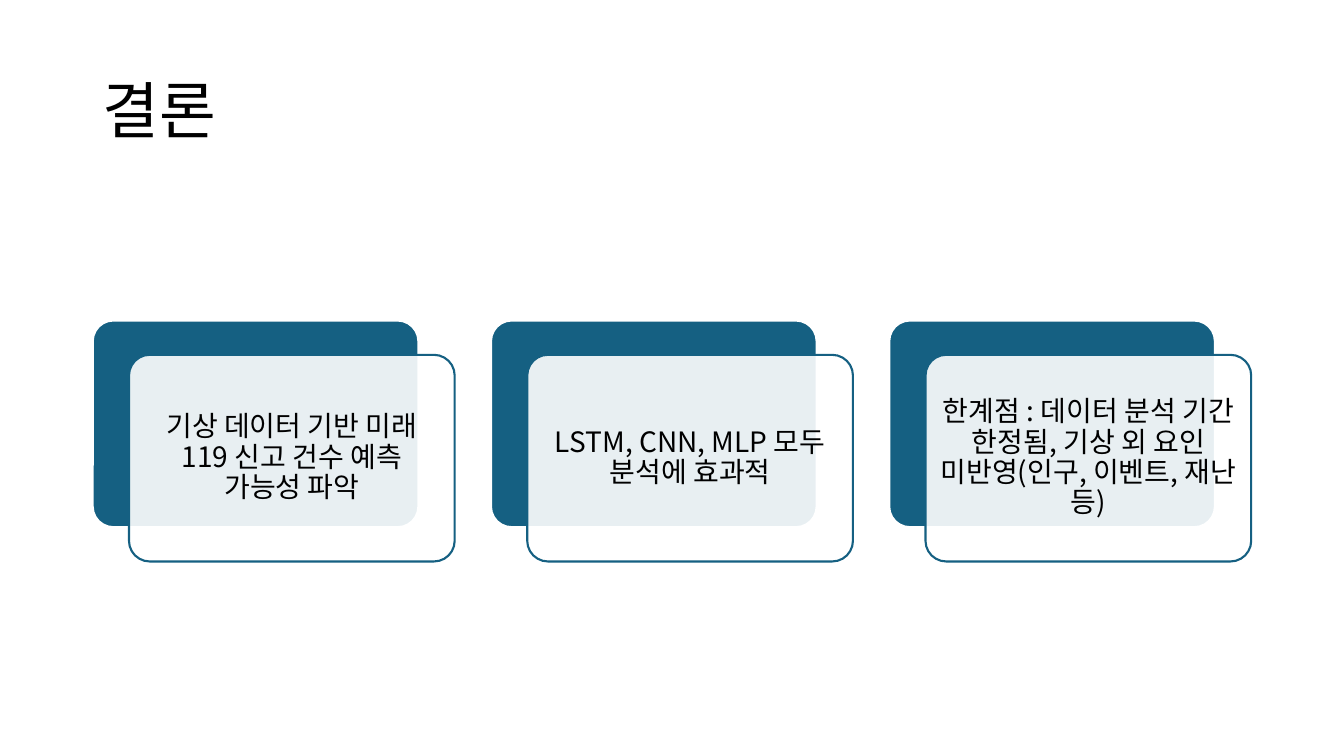
from dataclasses import dataclass

from lxml import etree
from pptx import Presentation
from pptx import util as u
from pptx.dml.color import RGBColor
from pptx.enum import shapes, text
from pptx.oxml.ns import qn


@dataclass(frozen=True)
class Theme:
    """Colours, font and type sizes of the slide."""
    teal: RGBColor = RGBColor(0x15, 0x60, 0x82)
    white: RGBColor = RGBColor(0xFF, 0xFF, 0xFF)
    black: RGBColor = RGBColor(0, 0, 0)
    font: str = "Noto Sans CJK KR"
    title_size: int = 44
    body_size: int = 20
    outline: float = 1.5


THEME = Theme()
CONCLUSIONS = (
    "기상 데이터 기반 미래 119 신고 건수 예측 가능성 파악",
    "LSTM, CNN, MLP 모두 분석에 효과적",
    "한계점 : 데이터 분석 기간 한정됨, 기상 외 요인 미반영(인구, 이벤트, 재난 등)",
)
CARD_LEFT, CARD_TOP, CARD_PITCH = 0.92, 3.18, 3.95
CARD_WIDTH, CARD_HEIGHT = 3.23, 2.05
FRONT_DX, FRONT_DY = 0.36, 0.34
TEXT_INSET = 0.06


def add_label(slide, wording, box, size, align, margins):
    """Add a wrapped, vertically centred text box and return its paragraph."""
    label = slide.shapes.add_textbox(*map(u.Inches, box))
    frame = label.text_frame
    frame.text = wording
    frame.word_wrap = True
    frame.vertical_anchor = text.MSO_ANCHOR.MIDDLE
    frame.margin_left = frame.margin_right = u.Inches(margins[0])
    frame.margin_top = frame.margin_bottom = u.Inches(margins[1])
    paragraph = frame.paragraphs[0]
    paragraph.alignment = align
    paragraph.line_spacing = 0.9
    for run in paragraph.runs:
        run.font.size = u.Pt(size)
        run.font.name = THEME.font
        run.font.color.rgb = THEME.black
        east_asian = etree.SubElement(run.font._element, qn("a:ea"))
        east_asian.set("typeface", THEME.font)
    return paragraph


def add_panel(slide, left, top, fill, line, opacity=100):
    """Add one rounded panel of a card."""
    panel = slide.shapes.add_shape(
        shapes.MSO_SHAPE.ROUNDED_RECTANGLE,
        *map(u.Inches, (left, top, CARD_WIDTH, CARD_HEIGHT)))
    panel.adjustments[0] = 0.1
    panel.shadow.inherit = False
    panel.fill.solid()
    panel.fill.fore_color.rgb = fill
    panel.line.color.rgb = line
    panel.line.width = u.Pt(THEME.outline)
    if opacity < 100:
        colour = panel._element.spPr.find(qn("a:solidFill")).find(qn("a:srgbClr"))
        etree.SubElement(colour, qn("a:alpha")).set("val", str(opacity * 1000))


def add_card(slide, left, conclusion):
    """Add a teal panel, the translucent panel over it and its wording."""
    front_left, front_top = left + FRONT_DX, CARD_TOP + FRONT_DY
    add_panel(slide, left, CARD_TOP, THEME.teal, THEME.white)
    add_panel(slide, front_left, front_top, THEME.white, THEME.teal, opacity=90)
    box = (front_left + TEXT_INSET, front_top + TEXT_INSET,
           CARD_WIDTH - 2 * TEXT_INSET, CARD_HEIGHT - 2 * TEXT_INSET)
    paragraph = add_label(slide, conclusion, box, THEME.body_size,
                          text.PP_ALIGN.CENTER, (0.08, 0.08))
    paragraph.space_after = u.Pt(0.35 * THEME.body_size)


def main():
    """Build and save the conclusion slide."""
    deck = Presentation()
    deck.slide_width, deck.slide_height = u.Inches(13.33), u.Inches(7.5)
    slide = deck.slides.add_slide(deck.slide_layouts[6])
    add_label(slide, "결론", (0.92, 0.4, 11.5, 1.45), THEME.title_size,
              text.PP_ALIGN.LEFT, (0.1, 0.05))
    for index, conclusion in enumerate(CONCLUSIONS):
        add_card(slide, CARD_LEFT + index * CARD_PITCH, conclusion)
    deck.save("out.pptx")


if __name__ == "__main__":
    main()
